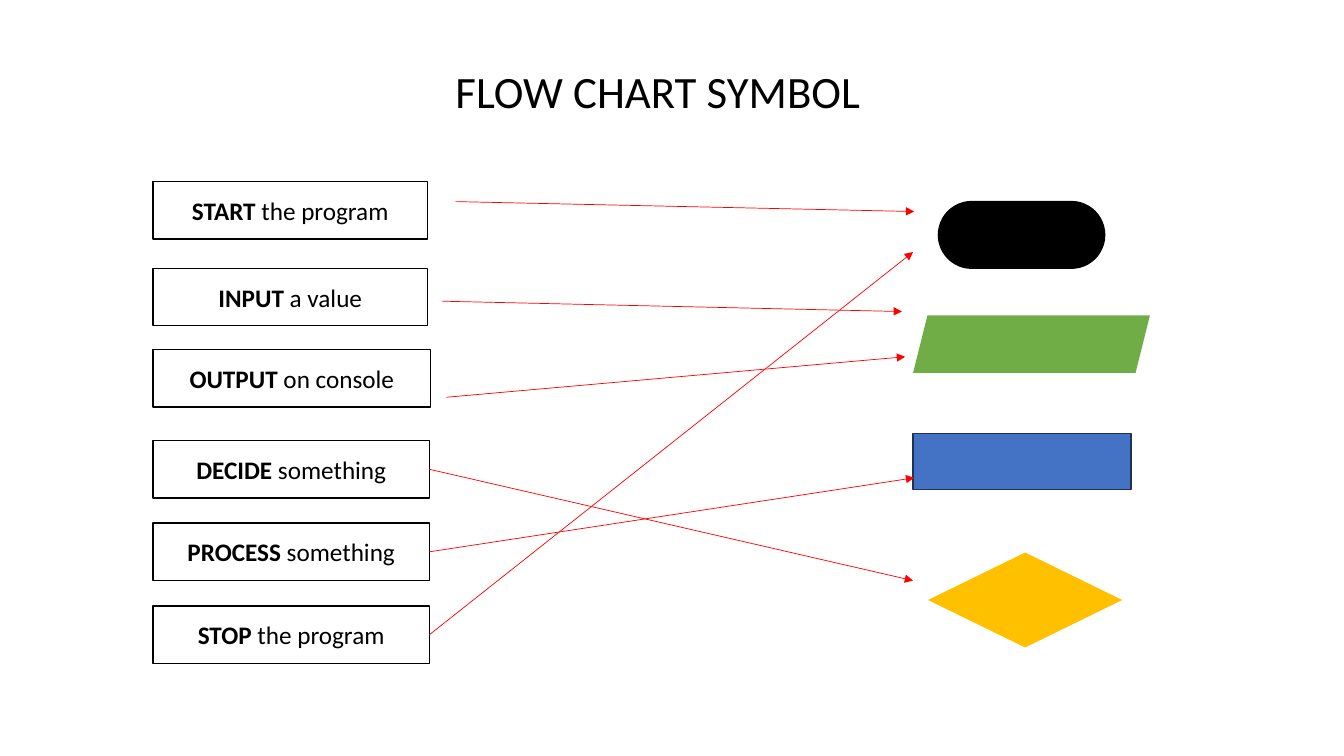
from dataclasses import dataclass
from typing import Optional

import pptx
import pptx.dml.color
import pptx.enum.shapes
import pptx.enum.text
import pptx.oxml
import pptx.oxml.ns
import pptx.shapes.autoshape
import pptx.slide
import pptx.text.text
import pptx.util
from pptx.dml.color import RGBColor
from pptx.enum.shapes import MSO_SHAPE
from pptx.util import Cm

BLACK = RGBColor(0x00, 0x00, 0x00)
WHITE = RGBColor(0xFF, 0xFF, 0xFF)
RED = RGBColor(0xFF, 0x00, 0x00)
GREEN = RGBColor(0x70, 0xAD, 0x47)
BLUE = RGBColor(0x44, 0x72, 0xC4)
NAVY = RGBColor(0x1E, 0x32, 0x56)
AMBER = RGBColor(0xFF, 0xC0, 0x00)

FONT = "Calibri"
STEP_LEFT = 3.86
STEP_HEIGHT = 1.45
RIGHT_SIDE = 3


@dataclass(frozen=True)
class Symbol:
    kind: MSO_SHAPE
    left: float
    top: float
    width: float
    height: float
    fill: RGBColor
    line: Optional[RGBColor] = None
    line_width: float = 1


@dataclass(frozen=True)
class Step:
    keyword: str
    rest: str
    top: float
    width: float
    arrow_end: tuple[float, float]
    arrow_start: Optional[tuple[float, float]] = None


SYMBOLS = [
    Symbol(MSO_SHAPE.ROUNDED_RECTANGLE, 23.65, 5.08, 4.19, 1.68, BLACK, BLACK),
    Symbol(MSO_SHAPE.PARALLELOGRAM, 23.01, 7.95, 5.97, 1.45, GREEN),
    Symbol(MSO_SHAPE.RECTANGLE, 23.01, 10.92, 5.49, 1.42, BLUE, NAVY),
    Symbol(MSO_SHAPE.DIAMOND, 23.32, 13.89, 5.03, 2.46, AMBER, WHITE, 1.5),
]

STEPS = [
    Step("START", " the program", 4.57, 6.91, (23.04, 5.33), (11.48, 5.08)),
    Step("INPUT", " a value", 6.76, 6.91, (22.73, 7.85), (11.15, 7.59)),
    Step("OUTPUT", " on console", 8.81, 6.99, (22.81, 8.99), (11.25, 10.01)),
    Step("DECIDE", " something", 11.1, 6.96, (23.01, 14.63)),
    Step("PROCESS", " something", 13.18, 6.96, (23.04, 12.04)),
    Step("STOP", " the program", 15.27, 6.96, (23.01, 6.35)),
]


def add_span(para: pptx.text.text._Paragraph, text: str, size: float, bold: bool = False) -> None:
    span = para.add_run()
    span.text = text
    span.font.name = FONT
    span.font.size = pptx.util.Pt(size)
    span.font.bold = bold
    span.font.color.rgb = BLACK


def draw_title(page: pptx.slide.Slide) -> None:
    box = page.shapes.add_textbox(Cm(11.23), Cm(1.47), Cm(10.82), Cm(1.63))
    box.text_frame.word_wrap = False
    box.text_frame.auto_size = pptx.enum.text.MSO_AUTO_SIZE.SHAPE_TO_FIT_TEXT
    add_span(box.text_frame.paragraphs[0], "FLOW CHART SYMBOL", 32)


def draw_symbol(page: pptx.slide.Slide, symbol: Symbol) -> pptx.shapes.autoshape.Shape:
    shape = page.shapes.add_shape(
        symbol.kind, Cm(symbol.left), Cm(symbol.top), Cm(symbol.width), Cm(symbol.height)
    )
    shape.shadow.inherit = False
    shape.fill.solid()
    shape.fill.fore_color.rgb = symbol.fill
    if symbol.line is None:
        shape.line.fill.background()
    else:
        shape.line.color.rgb = symbol.line
        shape.line.width = pptx.util.Pt(symbol.line_width)
    if symbol.kind == MSO_SHAPE.ROUNDED_RECTANGLE:
        shape.adjustments[0] = 0.5
    return shape


def draw_step(page: pptx.slide.Slide, step: Step) -> pptx.shapes.autoshape.Shape:
    box = draw_symbol(
        page,
        Symbol(MSO_SHAPE.RECTANGLE, STEP_LEFT, step.top, step.width, STEP_HEIGHT, WHITE, BLACK),
    )
    box.text_frame.word_wrap = True
    box.text_frame.vertical_anchor = pptx.enum.text.MSO_ANCHOR.MIDDLE
    para = box.text_frame.paragraphs[0]
    para.alignment = pptx.enum.text.PP_ALIGN.CENTER
    add_span(para, step.keyword, 18, bold=True)
    add_span(para, step.rest, 18)
    return box


def draw_arrow(page: pptx.slide.Slide, step: Step, box: pptx.shapes.autoshape.Shape) -> None:
    start = step.arrow_start or (STEP_LEFT + step.width, step.top + STEP_HEIGHT / 2)
    arrow = page.shapes.add_connector(
        pptx.enum.shapes.MSO_CONNECTOR.STRAIGHT,
        *(Cm(value) for value in (*start, *step.arrow_end)),
    )
    if step.arrow_start is None:
        arrow.begin_connect(box, RIGHT_SIDE)
    arrow.line.color.rgb = RED
    arrow.line.width = pptx.util.Pt(0.5)
    tail = pptx.oxml.parse_xml(f'<a:tailEnd {pptx.oxml.ns.nsdecls("a")} type="triangle"/>')
    arrow.line._get_or_add_ln().append(tail)
    effects = pptx.oxml.parse_xml(f'<a:effectLst {pptx.oxml.ns.nsdecls("a")}/>')
    arrow._element.spPr.append(effects)


def main() -> None:
    deck = pptx.Presentation()
    deck.slide_width = Cm(33.87)
    deck.slide_height = Cm(19.05)
    page = deck.slides.add_slide(deck.slide_layouts[6])
    draw_title(page)
    for symbol in SYMBOLS:
        draw_symbol(page, symbol)
    boxes = [draw_step(page, step) for step in STEPS]
    for step, box in zip(STEPS, boxes):
        draw_arrow(page, step, box)
    deck.save("out.pptx")


if __name__ == "__main__":
    main()
